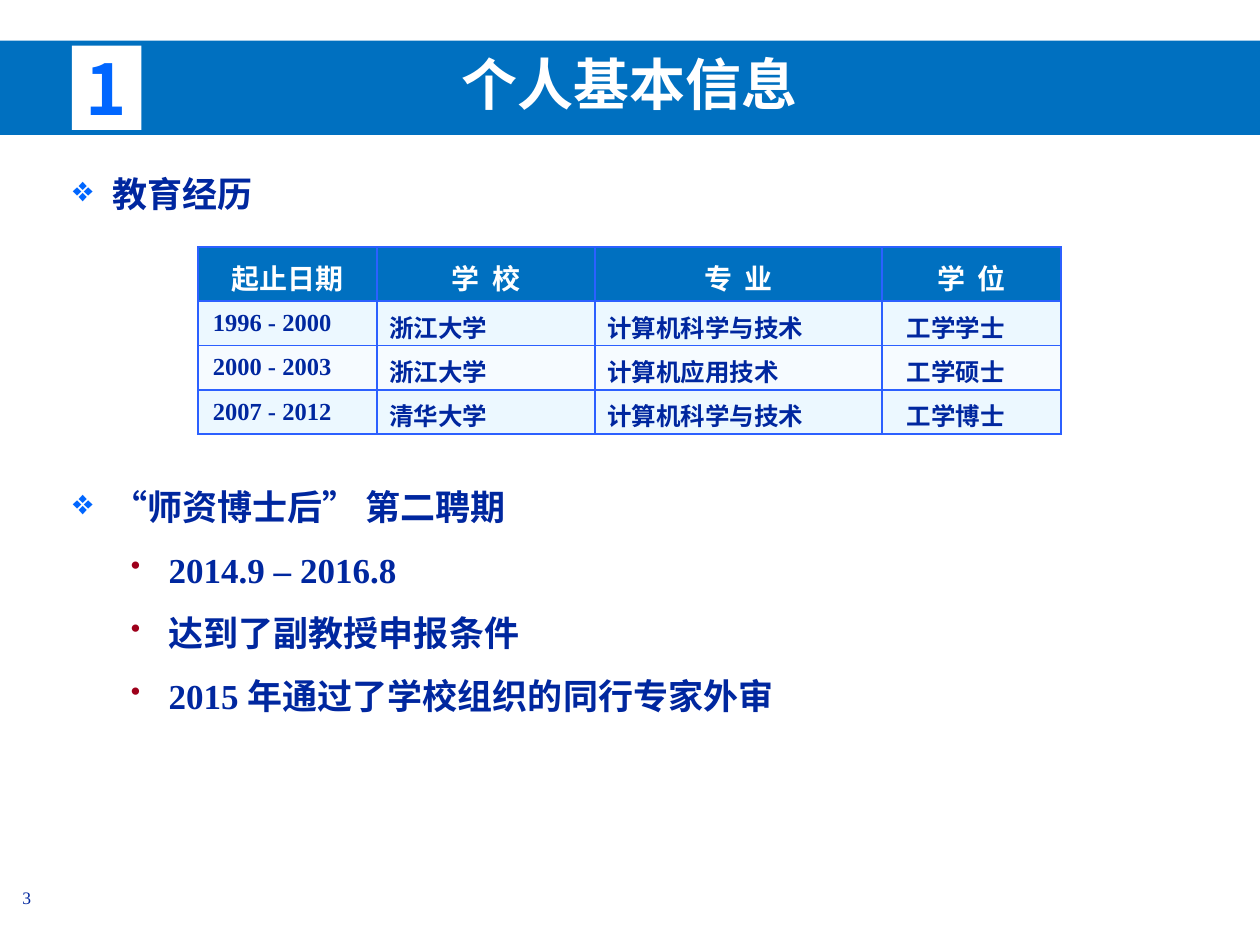
"""Build the personal information slide: education table and postdoc appointment."""
from dataclasses import dataclass

from lxml import etree
from pptx import Presentation
from pptx.dml.color import RGBColor
from pptx.enum.shapes import MSO_SHAPE
from pptx.enum.text import MSO_ANCHOR, PP_ALIGN
from pptx.oxml.ns import qn
from pptx.util import Cm, Pt

CENTER, LEFT = PP_ALIGN.CENTER, PP_ALIGN.LEFT
MIDDLE = MSO_ANCHOR.MIDDLE
RECTANGLE = MSO_SHAPE.RECTANGLE


@dataclass(frozen=True)
class Theme:
    serif: str = "Times New Roman"
    sans: str = "Noto Sans CJK SC"
    navy: str = "00279F"
    white: str = "FFFFFF"
    band: str = "0070C0"
    accent: str = "0066FF"
    dot: str = "9E001B"
    grid: str = "2C60FF"
    stripes: tuple = ("ECF8FF", "F6FBFF")
    title: int = 32
    badge: int = 40
    body: int = 20
    header: int = 16
    cell: int = 14
    footer: int = 10


theme = Theme()


def style(paragraph, face, size, color, bold=True, align=LEFT):
    paragraph.alignment = align
    font = paragraph.font
    font.name, font.size, font.bold = face, Pt(size), bold
    font.color.rgb = RGBColor.from_string(color)
    if face == theme.sans:
        for run in paragraph.runs:
            run.font.name = face
            etree.SubElement(run.font._element, qn("a:ea"), typeface=face)


def set_margins(target, left, top, right, bottom):
    target.margin_left, target.margin_top = Cm(left), Cm(top)
    target.margin_right, target.margin_bottom = Cm(right), Cm(bottom)


prs = Presentation()
prs.slide_width, prs.slide_height = Cm(25.4), Cm(19.05)
slide = prs.slides.add_slide(prs.slide_layouts[5])
shapes = slide.shapes

page_number = shapes.add_textbox(Cm(0.2), Cm(17.75), Cm(1.88), Cm(0.69)).text_frame
page_number.text = "3"
style(page_number.paragraphs[0], theme.serif, theme.footer, theme.navy, bold=False)

title = shapes.title
title.left, title.top, title.width, title.height = Cm(0), Cm(0.82), Cm(25.4), Cm(1.9)
title.fill.solid()
title.fill.fore_color.rgb = RGBColor.from_string(theme.band)
title.text_frame.text = "个人基本信息"
title.text_frame.vertical_anchor = MIDDLE
heading = title.text_frame.paragraphs[0]
heading.line_spacing = 0.87
style(heading, theme.sans, theme.title, theme.white, align=CENTER)

badge = shapes.add_shape(RECTANGLE, Cm(1.45), Cm(0.92), Cm(1.4), Cm(1.7))
badge.shadow.inherit = False
badge.fill.solid()
badge.fill.fore_color.rgb = RGBColor.from_string(theme.white)
badge.line.fill.background()
badge.text_frame.text = "1"
badge.text_frame.word_wrap = False
badge.text_frame.vertical_anchor = MIDDLE
set_margins(badge.text_frame, 0.1, 0, 0.1, 0)
style(badge.text_frame.paragraphs[0], theme.sans, theme.badge, theme.accent, align=CENTER)

outline = [
    (0, 0, ["教育经历"]),
    (0, 143, ["“师资博士后”", " 第二聘期"]),
    (1, 0, ["2014.9 – 2016.8"]),
    (1, 0, ["达到了副教授申报条件"]),
    (1, 0, ["2015 年通过了学校组织的同行专家外审"]),
]
bullets = [("❖", theme.accent, 100, 0.94, 0.79), ("•", theme.dot, 80, 2.08, 0.76)]
body = shapes.add_textbox(Cm(1.07), Cm(2.92), Cm(22.66), Cm(15.7)).text_frame
body.word_wrap = True
for index, (level, gap, parts) in enumerate(outline):
    item = body.add_paragraph() if index else body.paragraphs[0]
    for part in parts:
        item.add_run().text = part
    style(item, theme.serif, theme.body, theme.navy)
    if len(parts) > 1:
        item.runs[0].font.name = theme.sans
    item.level, item.line_spacing, item.space_before = level, 1.5, Pt(gap)
    mark, color, percent, margin, hang = bullets[level]
    props = item._p.get_or_add_pPr()
    props.set("marL", str(Cm(margin)))
    props.set("indent", str(-Cm(hang)))
    bullet_color = etree.Element(qn("a:buClr"))
    etree.SubElement(bullet_color, qn("a:srgbClr"), val=color)
    bullet_size = etree.Element(qn("a:buSzPct"), val=str(percent * 1000))
    bullet_mark = etree.Element(qn("a:buChar"), char=mark)
    defaults = props.find(qn("a:defRPr"))
    for part in (bullet_color, bullet_size, bullet_mark):
        defaults.addprevious(part)

education = [
    ("起止日期", "学  校", "专  业", "学  位"),
    ("1996 - 2000", "浙江大学", "计算机科学与技术", "工学学士"),
    ("2000 - 2003", "浙江大学", "计算机应用技术", "工学硕士"),
    ("2007 - 2012", "清华大学", "计算机科学与技术", "工学博士"),
]
column_widths = [3.61, 4.39, 5.79, 3.61]
row_heights = [1.09, 0.89, 0.89, 0.89]
left_insets = [0.3, 0.25, 0.25, 0.5]
table = shapes.add_table(
    len(education), len(column_widths), Cm(3.99), Cm(4.98),
    Cm(sum(column_widths)), Cm(sum(row_heights)),
).table
table.first_row = table.horz_banding = False
for column, width in zip(table.columns, column_widths):
    column.width = Cm(width)
for r, (values, height) in enumerate(zip(education, row_heights)):
    table.rows[r].height = Cm(height)
    for c, value in enumerate(values):
        cell = table.cell(r, c)
        cell.text = value
        cell.vertical_anchor = MIDDLE
        entry = cell.text_frame.paragraphs[0]
        if r == 0:
            set_margins(cell, 0.4, 0.2, 0.4, 0.2)
            style(entry, theme.serif, theme.header, theme.white, align=CENTER)
        else:
            set_margins(cell, left_insets[c], 0.15, 0.25, 0.15)
            style(entry, theme.serif, theme.cell, theme.navy)
        cell_props = cell._tc.get_or_add_tcPr()
        for side in ("lnL", "lnR", "lnT", "lnB"):
            border = etree.SubElement(cell_props, qn(f"a:{side}"), w=str(Pt(1)))
            paint = etree.SubElement(border, qn("a:solidFill"))
            etree.SubElement(paint, qn("a:srgbClr"), val=theme.grid)
        cell.fill.solid()
        fill = theme.stripes[(r - 1) % 2] if r else theme.band
        cell.fill.fore_color.rgb = RGBColor.from_string(fill)

prs.save("out.pptx")
